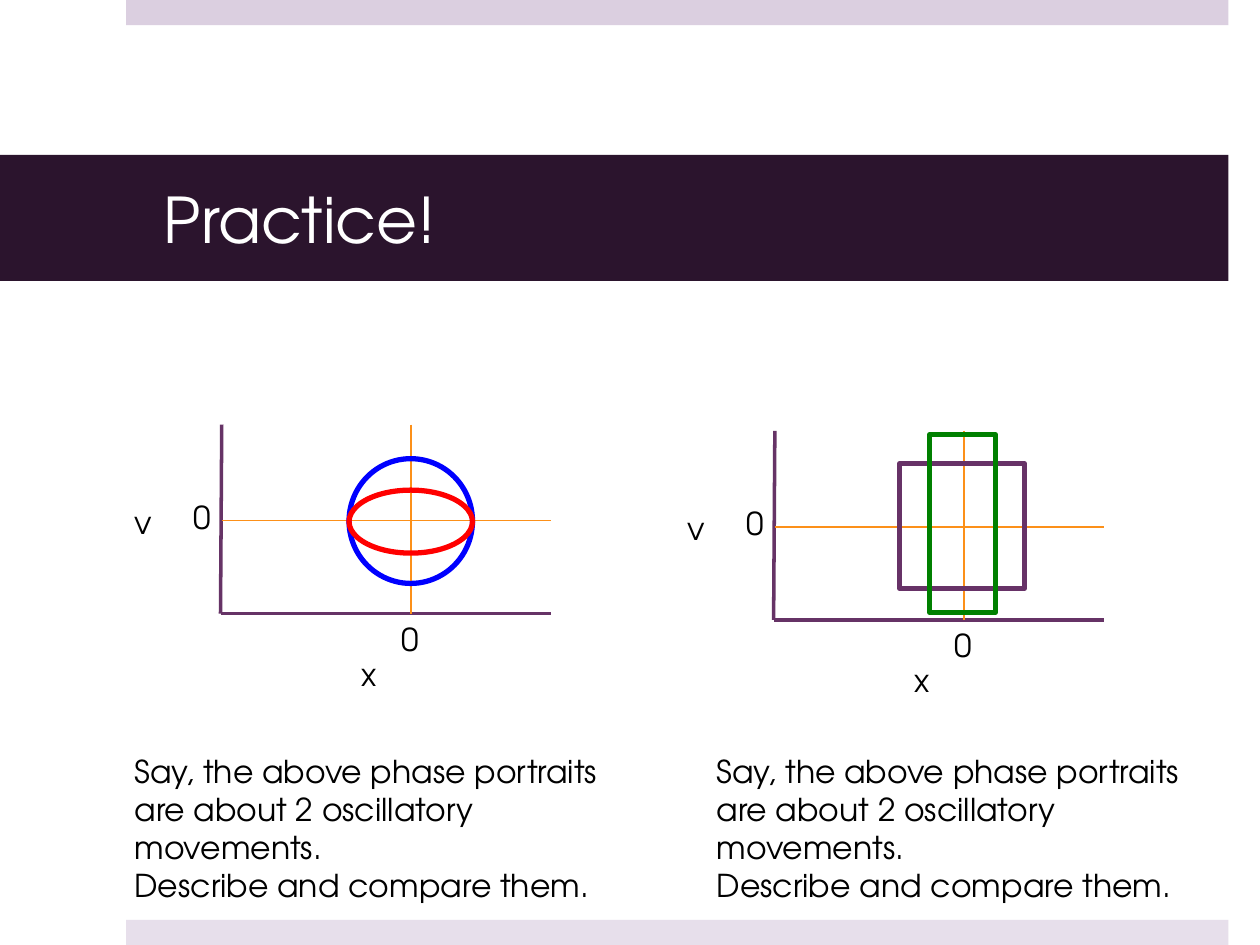
from lxml import etree
from pptx import Presentation, util as u
from pptx.dml.color import RGBColor
from pptx.enum import shapes, text
from pptx.oxml.ns import qn

FONT = "TeX Gyre Adventor"
PURPLE, ORANGE = "663366", "FC9019"
SHAPE = shapes.MSO_SHAPE

prs = Presentation()
prs.slide_width, prs.slide_height = u.Inches(10), u.Inches(7.5)
s = prs.slides.add_slide(prs.slide_layouts[6])
col, row = prs.slide_width / 10, prs.slide_height / 7.5


def add_box(kind, x, y, w, h, fill=None, line=None):
    sp = s.shapes.add_shape(kind, int(x * col), int(y * row), int(w * col), int(h * row))
    sp.shadow.inherit = False
    if fill:
        sp.fill.solid()
        sp.fill.fore_color.rgb = RGBColor.from_string(fill)
    else:
        sp.fill.background()
    if line:
        sp.line.color.rgb = RGBColor.from_string(line)
        sp.line.width = u.Pt(3)
    else:
        sp.line.fill.background()
    return sp


def add_text(parent, x, y, w, h, lines, wrap):
    sp = parent.shapes.add_textbox(int(x * col), int(y * row), int(w * col), int(h * row))
    tf = sp.text_frame
    tf.word_wrap = wrap
    tf.auto_size = text.MSO_AUTO_SIZE.SHAPE_TO_FIT_TEXT
    tf.text = lines
    for p in tf.paragraphs:
        for r in p.runs:
            r.font.name, r.font.size = FONT, u.Pt(18)
            r.font.color.rgb = RGBColor.from_string("000000")


add_box(SHAPE.RECTANGLE, 1, 0, 8.75, 0.2, "DBCFE0")
add_box(SHAPE.RECTANGLE, 1, 7.3, 8.75, 0.2, "E7DFEB")

title = add_box(SHAPE.RECTANGLE, 0, 1.23, 9.75, 1, "2B142D")
tf = title.text_frame
tf.text = "Practice!"
tf.vertical_anchor = text.MSO_ANCHOR.MIDDLE
tf.margin_left, tf.margin_right = u.Inches(1.3), u.Inches(0.3)
p = tf.paragraphs[0]
p.alignment = text.PP_ALIGN.LEFT
r = p.runs[0]
r.font.name, r.font.size = FONT, u.Pt(36)
r.font.color.rgb = RGBColor.from_string("FFFFFF")

axes = [
    (0.01, 0, 0, 1.5, PURPLE, 2),
    (0, 1.5, 2.62, 1.5, PURPLE, 2),
    (0.01, 0.76, 2.62, 0.76, ORANGE, 1),
    (1.51, 0, 1.51, 1.5, ORANGE, 1),
]
labels = [("v", -0.78, 0.57), ("x", 1.02, 1.78), ("0", -0.31, 0.53), ("0", 1.34, 1.5)]

for left, top in [(1.75, 3.37), (6.14, 3.42)]:
    plot = s.shapes.add_group_shape()
    for x1, y1, x2, y2, color, width in axes:
        c = plot.shapes.add_connector(
            shapes.MSO_CONNECTOR.STRAIGHT,
            int((left + x1) * col), int((top + y1) * row),
            int((left + x2) * col), int((top + y2) * row))
        c.line.color.rgb = RGBColor.from_string(color)
        c.line.width = u.Pt(width)
        etree.SubElement(c._element.spPr, qn("a:effectLst"))
    for label, x, y in labels:
        add_text(plot, left + x, top + y, 0.34, 0.4, label, False)

add_box(SHAPE.OVAL, 2.77, 3.64, 0.98, 0.99, line="0000FF")
add_box(SHAPE.OVAL, 2.77, 3.89, 0.98, 0.5, line="FF0000")

question = ("Say, the above phase portraits are about 2 oscillatory movements.\n"
            "Describe and compare them.")
for x in (0.97, 5.59):
    add_text(s, x, 5.92, 4.13, 1.31, question, True)

add_box(SHAPE.RECTANGLE, 7.14, 3.68, 0.99, 0.99, line="673267")
add_box(SHAPE.RECTANGLE, 7.38, 3.45, 0.52, 1.41, line="008000")

prs.save("out.pptx")
